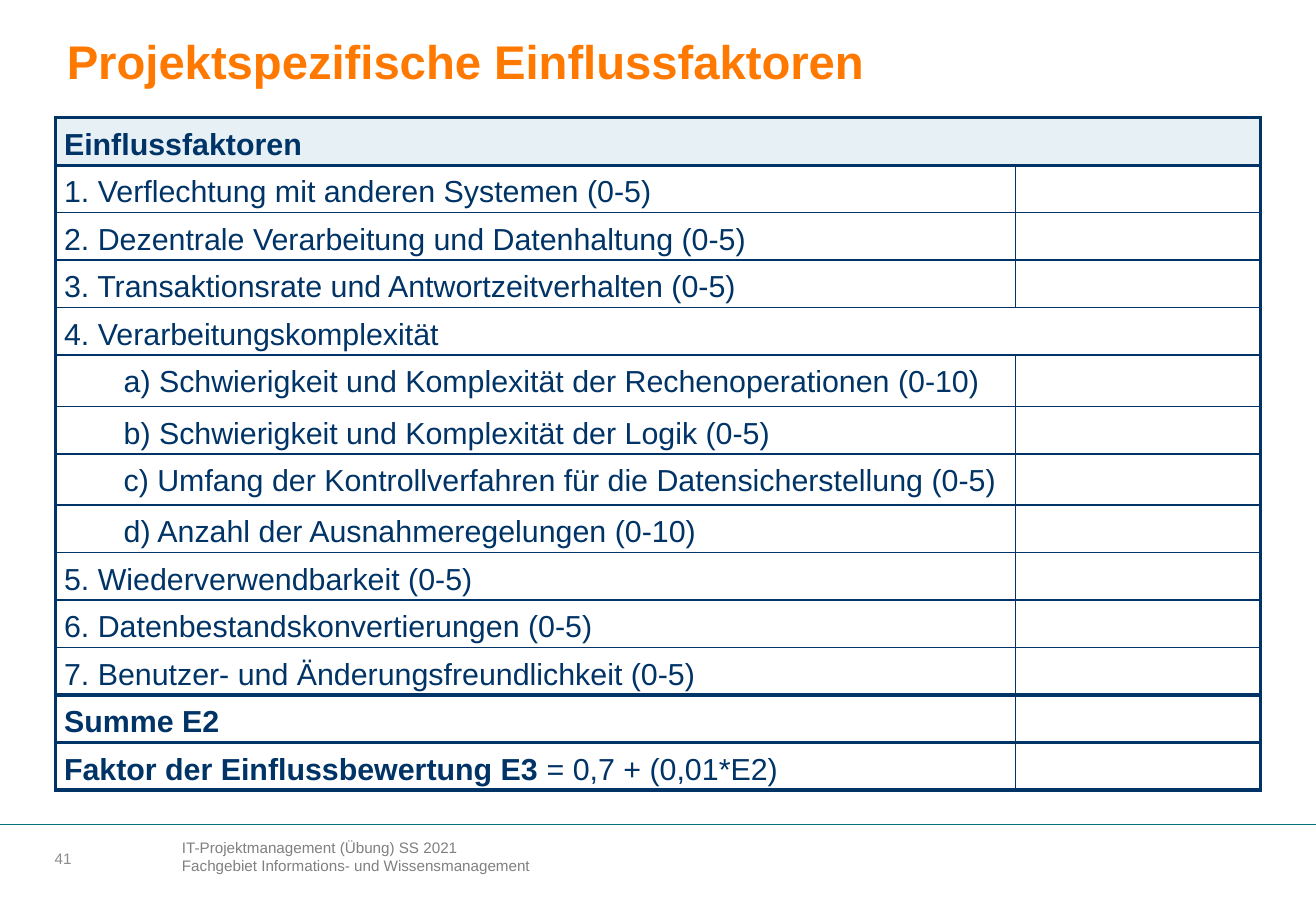
from lxml import etree
from pptx import Presentation
from pptx.dml.color import RGBColor
from pptx.enum.shapes import MSO_CONNECTOR
from pptx.enum.text import MSO_ANCHOR, PP_ALIGN
from pptx.oxml.ns import qn
from pptx.util import Pt

STRAIGHT = MSO_CONNECTOR.STRAIGHT
TOP, MIDDLE = MSO_ANCHOR.TOP, MSO_ANCHOR.MIDDLE
LEFT, JUSTIFY = PP_ALIGN.LEFT, PP_ALIGN.JUSTIFY

COLORS = {
    "title": "FF7900",
    "navy": "003366",
    "header": "E6F0F5",
    "footer": "808080",
    "number": "8C8C8C",
    "rule": "007479",
}
THICK, THIN = 2.25, 1
ROW_HEIGHT, TALL_ROW_HEIGHT = 28.15, 30.4
COLUMN_WIDTHS = (569, 145.3)
INDENT = 35.3

FACTORS = [
    ("Einflussfaktoren", ""),
    ("", "1. Verflechtung mit anderen Systemen (0-5)"),
    ("", "2. Dezentrale Verarbeitung und Datenhaltung (0-5)"),
    ("", "3. Transaktionsrate und Antwortzeitverhalten (0-5)"),
    ("", "4. Verarbeitungskomplexität"),
    ("", "a) Schwierigkeit und Komplexität der Rechenoperationen (0-10)"),
    ("", "b) Schwierigkeit und Komplexität der Logik (0-5)"),
    ("", "c) Umfang der Kontrollverfahren für die Datensicherstellung (0-5)"),
    ("", "d) Anzahl der Ausnahmeregelungen (0-10)"),
    ("", "5. Wiederverwendbarkeit (0-5)"),
    ("", "6. Datenbestandskonvertierungen (0-5)"),
    ("", "7. Benutzer- und Änderungsfreundlichkeit (0-5)"),
    ("Summe E2", ""),
    ("Faktor der Einflussbewertung E3 ", "= 0,7 + (0,01*E2)"),
]
MERGED_ROWS = (0, 4)
INDENTED_ROWS = range(5, 9)
TALL_ROWS = (5, 7)
THICK_RULES = (0, 1, 12, 13, 14)


class SlideBuilder:
    def __init__(self, slide, font_name):
        self.slide = slide
        self.font_name = font_name

    def color(self, name):
        return RGBColor.from_string(COLORS[name])

    def style(self, run, size, color, bold=False):
        run.font.name = self.font_name
        run.font.size = Pt(size)
        run.font.bold = bold
        run.font.color.rgb = self.color(color)

    def frame(self, text_frame, anchor, horizontal, vertical):
        text_frame.word_wrap = True
        text_frame.vertical_anchor = anchor
        text_frame.margin_left = text_frame.margin_right = Pt(horizontal)
        text_frame.margin_top = text_frame.margin_bottom = Pt(vertical)

    def title(self, text, left, top, width, height):
        shape = self.slide.shapes.title
        shape.left, shape.top = Pt(left), Pt(top)
        shape.width, shape.height = Pt(width), Pt(height)
        shape.text_frame.text = text
        self.frame(shape.text_frame, MIDDLE, 7.2, 3.6)
        paragraph = shape.text_frame.paragraphs[0]
        paragraph.alignment = LEFT
        self.style(paragraph.runs[0], 28, "title", True)

    def text(self, text, left, top, width, height, color, anchor, margins):
        shape = self.slide.shapes.add_textbox(Pt(left), Pt(top), Pt(width), Pt(height))
        self.frame(shape.text_frame, anchor, *margins)
        shape.text_frame.text = text
        for paragraph in shape.text_frame.paragraphs:
            self.style(paragraph.runs[0], 9, color)

    def rule(self, top, width):
        line = self.slide.shapes.add_connector(STRAIGHT, 0, Pt(top), Pt(width), Pt(top))
        line.line.color.rgb = self.color("rule")
        line.line.width = Pt(0.5)
        etree.SubElement(line._element.spPr, qn("a:effectLst"))

    def borders(self, cell, widths):
        properties = cell._tc.get_or_add_tcPr()
        for side, width in zip("LRTB", widths):
            if width:
                line = etree.SubElement(properties, qn(f"a:ln{side}"), w=str(Pt(width)))
                fill = etree.SubElement(line, qn("a:solidFill"))
                etree.SubElement(fill, qn("a:srgbClr"), val=COLORS["navy"])

    def cell_text(self, cell, parts, indent):
        paragraph = cell.text_frame.paragraphs[0]
        paragraph.alignment = JUSTIFY
        paragraph.line_spacing = 1.3
        paragraph.space_after = Pt(4)
        if indent:
            paragraph._p.get_or_add_pPr().set("marL", str(Pt(indent)))
        for text, bold in zip(parts, (True, False)):
            if text:
                run = paragraph.add_run()
                run.text = text
                self.style(run, 18, "navy", bold)

    def table(self, rows, left, top):
        heights = [TALL_ROW_HEIGHT if i in TALL_ROWS else ROW_HEIGHT for i in range(len(rows))]
        table = self.slide.shapes.add_table(
            len(rows), len(COLUMN_WIDTHS), Pt(left), Pt(top),
            Pt(sum(COLUMN_WIDTHS)), Pt(sum(heights)),
        ).table
        table.first_row = table.horz_banding = False
        for column, width in zip(table.columns, COLUMN_WIDTHS):
            column.width = Pt(width)
        for index, parts in enumerate(rows):
            table.rows[index].height = Pt(heights[index])
            label, value = table.cell(index, 0), table.cell(index, 1)
            merged = index in MERGED_ROWS
            if merged:
                label.merge(value)
            above, below = (THICK if edge in THICK_RULES else THIN for edge in (index, index + 1))
            self.borders(label, (THICK, THICK if merged else THIN, above, below))
            self.borders(value, (0 if merged else THIN, THICK, above, below))
            for cell in (label, value):
                cell.margin_left = cell.margin_right = Pt(5)
                cell.margin_top = cell.margin_bottom = 0
                if index == 0:
                    cell.fill.solid()
                    cell.fill.fore_color.rgb = self.color("header")
                else:
                    cell.fill.background()
            self.cell_text(label, parts, INDENT if index in INDENTED_ROWS else 0)


def main():
    presentation = Presentation()
    presentation.slide_width, presentation.slide_height = Pt(780), Pt(540)
    slide = presentation.slides.add_slide(presentation.slide_layouts[5])
    builder = SlideBuilder(slide, "Arial")
    builder.title("Projektspezifische Einflussfaktoren", 32.4, 13, 724.3, 45.4)
    builder.table(FACTORS, 33, 69.8)
    builder.rule(489, 780)
    builder.text("41", 32.4, 499.7, 51.8, 18, "number", MIDDLE, (0, 0))
    builder.text(
        "IT-Projektmanagement (Übung) SS 2021\nFachgebiet Informations- und Wissensmanagement",
        100.8, 493.2, 436.3, 40.3, "footer", TOP, (7.2, 3.6),
    )
    presentation.save("out.pptx")


if __name__ == "__main__":
    main()
